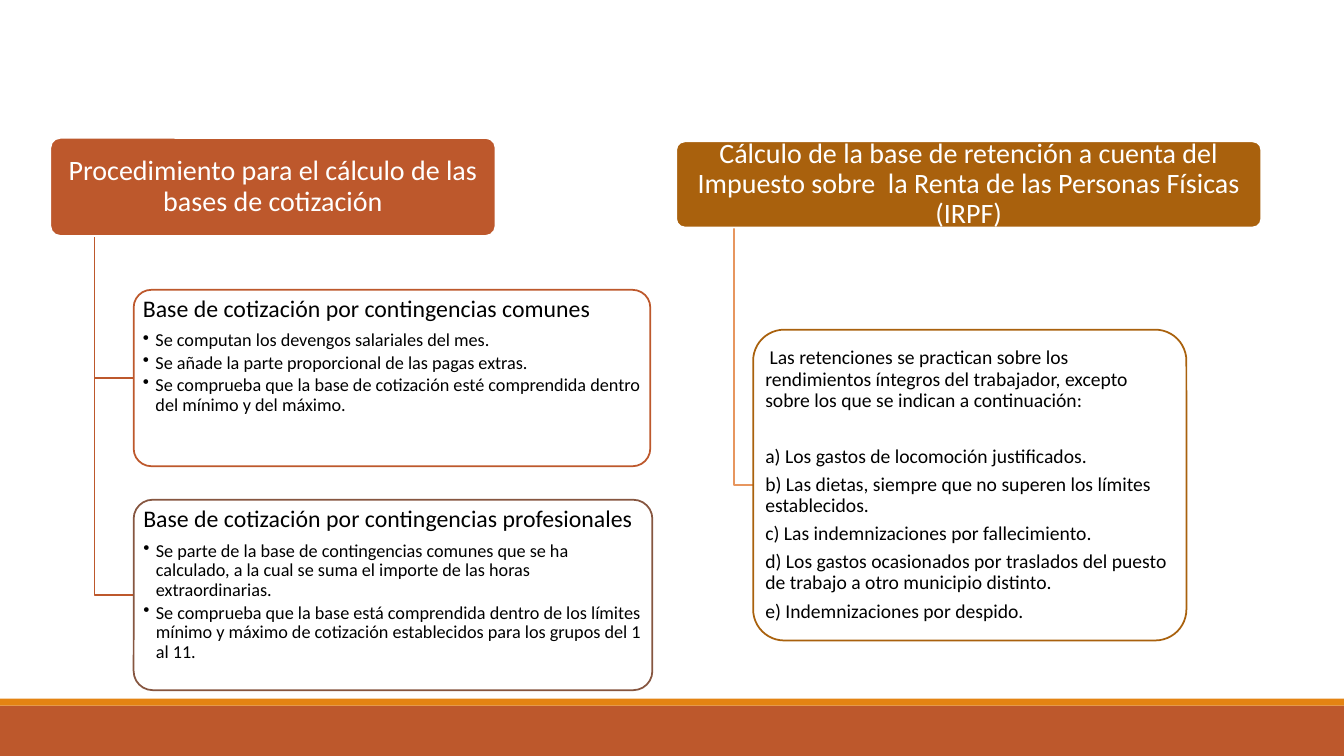
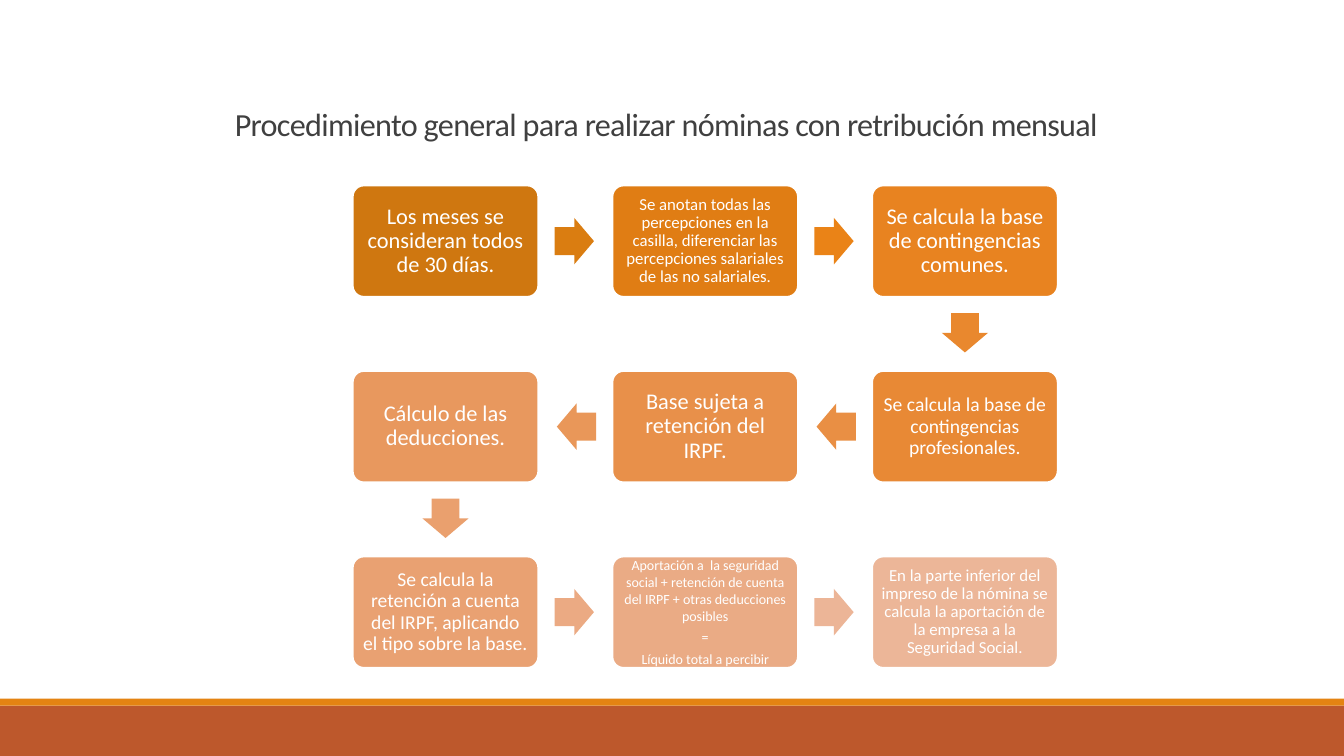
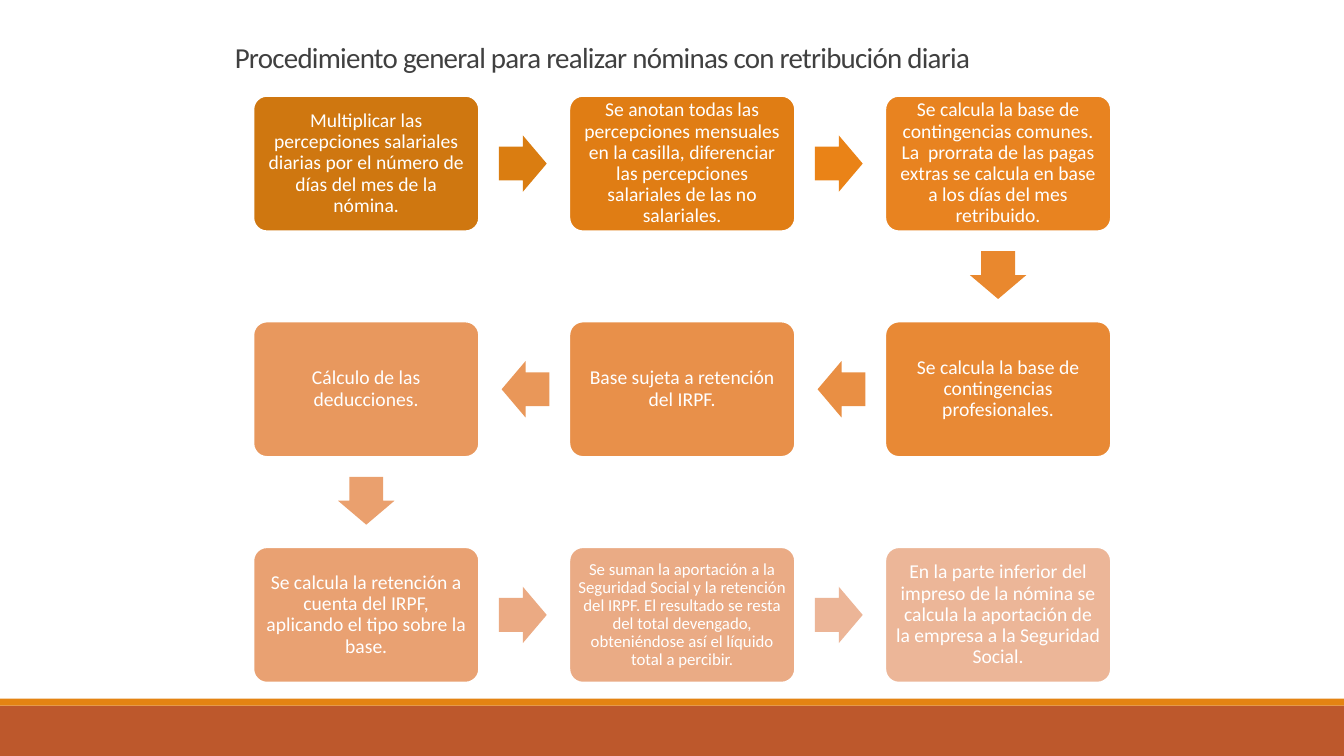
from dataclasses import dataclass
from typing import Any, NamedTuple

from lxml import etree
from pptx import Presentation
from pptx.dml.color import RGBColor
from pptx.enum.shapes import MSO_SHAPE
from pptx.enum.text import MSO_ANCHOR, MSO_AUTO_SIZE, PP_ALIGN
from pptx.oxml.ns import qn
from pptx.util import Pt

RECT, ROUND, ARROW = MSO_SHAPE.RECTANGLE, MSO_SHAPE.ROUNDED_RECTANGLE, MSO_SHAPE.RIGHT_ARROW
TOP, MIDDLE, BOTTOM = MSO_ANCHOR.TOP, MSO_ANCHOR.MIDDLE, MSO_ANCHOR.BOTTOM
LEFT, CENTER = PP_ALIGN.LEFT, PP_ALIGN.CENTER
NO_FIT = MSO_AUTO_SIZE.NONE

WIDE, HIGH = 960, 540
FONT = "Calibri"
WHITE, BLACK, GRAY = "FFFFFF", "000000", "404040"
RUST, ORANGE, BROWN, OCHRE, PEACH = "BD582C", "E48312", "865640", "A9610D", "E7965F"
EDGE = 1.25
COLS = 3
STEP_FILLS = ["CF7710", "E07D14", "E88320", "E88935", "E8904A",
              "E8985E", "E9A172", "EAAB85", "ECB698"]
ARROW_FILLS = ["DA7D11", "EA8317", "E9882E", "E98F44",
               "E99759", "EAA06E", "EBAA83", "ECB597"]


class Area(NamedTuple):
    left: float
    top: float
    width: float
    height: float


@dataclass
class Para:
    text: str
    size: float
    color: str = WHITE
    align: Any = CENTER
    lines: float = 0.9
    after: float | None = None
    indent: float = 0
    bullet: bool = False


@dataclass
class Box:
    area: Area
    fill: str
    edge: str
    paras: list[Para]
    pad: tuple[float, float]
    anchor: Any = MIDDLE


@dataclass
class Elbow:
    left: float
    top: float
    right: float
    bottom: float
    color: str


@dataclass
class Step:
    text: str
    size: float
    lines: float = 0.9


@dataclass
class Flow:
    title: str
    size: float
    base: float
    left: float
    top: float
    width: float
    steps: list[Step]


def put(item: Any, values: dict[str, Any]) -> None:
    for name, value in values.items():
        setattr(item, name, value)


def paint(form: Any, color: str) -> None:
    form.solid()
    form.fore_color.rgb = RGBColor.from_string(color)


def draw(slide: Any, kind: Any, area: Area, fill: str, edge: str | None = None) -> Any:
    shape = slide.shapes.add_shape(kind, *map(Pt, area))
    shape.shadow.inherit = False
    paint(shape.fill, fill)
    if edge:
        paint(shape.line.fill, edge)
        shape.line.width = Pt(EDGE)
    else:
        shape.line.fill.background()
    return shape


def write(frame: Any, paras: list[Para]) -> None:
    for i, item in enumerate(paras):
        para = frame.add_paragraph() if i else frame.paragraphs[0]
        props = para._p.get_or_add_pPr()
        if item.bullet:
            props.set("marL", str(Pt(9)))
            props.set("indent", str(Pt(-9)))
            etree.SubElement(props, qn("a:buChar")).set("char", "•")
        elif item.indent:
            props.set("indent", str(Pt(item.indent)))
        share = 0.15 if item.bullet else 0.35
        after = share * item.size if item.after is None else item.after
        put(para, {"alignment": item.align, "line_spacing": item.lines,
                   "space_after": Pt(after)})
        run = para.add_run()
        run.text = item.text
        put(run.font, {"name": FONT, "size": Pt(item.size)})
        paint(run.font.fill, item.color)


def add_box(slide: Any, box: Box) -> None:
    shape = draw(slide, ROUND, box.area, box.fill, box.edge)
    shape.adjustments[0] = 0.1
    side, head = map(Pt, box.pad)
    put(shape.text_frame, {"word_wrap": True, "vertical_anchor": box.anchor,
                           "margin_left": side, "margin_right": side,
                           "margin_top": head, "margin_bottom": head})
    write(shape.text_frame, box.paras)


def add_elbow(slide: Any, elbow: Elbow) -> None:
    left, top, right, bottom = map(Pt, (elbow.left, elbow.top, elbow.right, elbow.bottom))
    form = slide.shapes.build_freeform(left, top)
    form.add_line_segments([(left, bottom), (right, bottom)], close=False)
    shape = form.convert_to_shape()
    shape.shadow.inherit = False
    shape.fill.background()
    paint(shape.line.fill, elbow.color)
    shape.line.width = Pt(EDGE)


def add_bands(prs: Any, slide: Any) -> None:
    tree = prs.slide_master.shapes._spTree
    for area, fill in ((Area(0, 504, WIDE, 36), RUST), (Area(0, 499, WIDE, 5), ORANGE)):
        tree.append(draw(slide, RECT, area, fill)._element)


def add_title(slide: Any, text: str, size: float, base: float) -> None:
    title = slide.shapes.title
    put(title, {"left": Pt(160.5), "top": Pt(28), "width": Pt(687.5),
                "height": Pt(base - 28)})
    put(title.text_frame, {"word_wrap": True, "auto_size": NO_FIT,
                           "vertical_anchor": BOTTOM})
    write(title.text_frame, [Para(text, size, GRAY, LEFT, 0.85, 0)])
    title.text_frame.paragraphs[0].runs[0].font._element.set("spc", "-50")


def add_flow(slide: Any, flow: Flow) -> None:
    add_title(slide, flow.title, flow.size, flow.base)
    width, height = flow.width, 0.6 * flow.width
    long, broad = 0.212 * width, 0.25 * width
    reach = 0.088 * width + long / 2
    cells = []
    for i in range(len(flow.steps)):
        row, col = divmod(i, COLS)
        cells.append((COLS - 1 - col if row % 2 else col, row))
    for i, (step, (col, row)) in enumerate(zip(flow.steps, cells)):
        area = Area(flow.left + col * 1.4 * width, flow.top + row * width, width, height)
        para = Para(step.text, step.size, lines=step.lines)
        pad = 0.3 * step.size
        add_box(slide, Box(area, STEP_FILLS[i], WHITE, [para] if "\n" not in step.text else [
            Para(part, step.size, lines=step.lines) for part in step.text.split("\n")],
            (pad, pad)))
        if i + 1 == len(cells):
            break
        right, down = cells[i + 1][0] - col, cells[i + 1][1] - row
        mid = area.left + width / 2 + right * (width / 2 + reach)
        level = area.top + height / 2 + down * (height / 2 + reach)
        arrow = draw(slide, ARROW, Area(mid - long / 2, level - broad / 2, long, broad),
                     ARROW_FILLS[i])
        arrow.adjustments[0], arrow.adjustments[1] = 0.6, 0.5
        arrow.rotation = 90 if down else 90 * (1 - right)


def head(area: Area, fill: str, text: str) -> Box:
    return Box(area, fill, WHITE, [Para(text, 20)], (2.9, 2.2))


def card(area: Area, edge: str, name: str, points: list[str]) -> Box:
    paras = [Para(name, 17, BLACK, LEFT)]
    paras += [Para(point, 13, BLACK, LEFT, bullet=True) for point in points]
    return Box(area, WHITE, edge, paras, (2.9, 1.5), TOP)


RULES = [
    Para("Las retenciones se practican sobre los rendimientos íntegros del trabajador, "
         "excepto sobre los que se indican a continuación:", 14, BLACK, LEFT,
         after=25, indent=3),
    *(Para(text, 14, BLACK, LEFT) for text in (
        "a) Los gastos de locomoción justificados.",
        "b) Las dietas, siempre que no superen los límites establecidos.",
        "c) Las indemnizaciones por fallecimiento.",
        "d) Los gastos ocasionados por traslados del puesto de trabajo a otro "
        "municipio distinto.",
        "e) Indemnizaciones por despido.")),
]

ELBOWS = [
    Elbow(67.5, 168.5, 95.5, 270, RUST),
    Elbow(67.5, 168.5, 95.5, 425, RUST),
    Elbow(524.5, 162.5, 538, 346.5, PEACH),
]

BOXES = [
    head(Area(36, 98.5, 318, 70), RUST,
         "Procedimiento para el cálculo de las bases de cotización"),
    card(Area(95.5, 207, 369, 126), RUST, "Base de cotización por contingencias comunes", [
        "Se computan los devengos salariales del mes.",
        "Se añade la parte proporcional de las pagas extras.",
        "Se comprueba que la base de cotización esté comprendida dentro del mínimo "
        "y del máximo."]),
    card(Area(95.5, 357, 370.5, 136), BROWN,
         "Base de cotización por contingencias profesionales", [
             "Se parte de la base de contingencias comunes que se ha calculado, a la cual "
             "se suma el importe de las horas extraordinarias.",
             "Se comprueba que la base está comprendida dentro de los límites mínimo y "
             "máximo de cotización establecidos para los grupos del 1 al 11."]),
    head(Area(483, 101, 418, 61.5), OCHRE,
         "Cálculo de la base de retención a cuenta del Impuesto sobre  la Renta de las "
         "Personas Físicas (IRPF)"),
    Box(Area(538, 235.5, 309.5, 222), WHITE, OCHRE, RULES, (2.2, 1.5)),
]

LOWER = ("En la parte inferior del impreso de la nómina se calcula la aportación de la "
         "empresa a la Seguridad Social.")
LABOR = "Se calcula la base de contingencias profesionales."
BASE = "Base sujeta a retención del IRPF."
CUTS = "Cálculo de las deducciones."
RATE = "Se calcula la retención a cuenta del IRPF, aplicando el tipo sobre la base."

FLOWS = [
    Flow("Procedimiento general para realizar nóminas con retribución mensual",
         23, 106, 252, 132.5, 132.5, [
             Step("Los meses se consideran todos de 30 días.", 16),
             Step("Se anotan todas las percepciones en la casilla, diferenciar las "
                  "percepciones salariales de las no salariales.", 12),
             Step("Se calcula la base de contingencias comunes.", 16),
             Step(LABOR, 14),
             Step(BASE, 16),
             Step(CUTS, 16),
             Step(RATE, 14),
             Step("Aportación a  la seguridad social + retención de cuenta del IRPF + "
                  "otras deducciones posibles\n=\nLíquido total a percibir", 10, 1),
             Step(LOWER, 12)]),
    Flow("Procedimiento general para realizar nóminas con retribución diaria",
         20.7, 57, 181, 68.5, 161.2, [
             Step("Multiplicar las percepciones salariales diarias por el número de días "
                  "del mes de la nómina.", 14),
             Step("Se anotan todas las percepciones mensuales en la casilla, diferenciar "
                  "las percepciones salariales de las no salariales.", 14),
             Step("Se calcula la base de contingencias comunes. La  prorrata de las pagas "
                  "extras se calcula en base a los días del mes retribuido.", 14),
             Step(LABOR, 14),
             Step(BASE, 14),
             Step(CUTS, 14),
             Step(RATE, 14),
             Step("Se suman la aportación a la Seguridad Social y la retención del IRPF. "
                  "El resultado se resta del total devengado, obteniéndose así el líquido "
                  "total a percibir.", 12),
             Step(LOWER, 14)]),
]


def main() -> None:
    prs = Presentation()
    put(prs, {"slide_width": Pt(WIDE), "slide_height": Pt(HIGH)})
    titled, blank = prs.slide_layouts[5], prs.slide_layouts[6]
    slide = prs.slides.add_slide(blank)
    add_bands(prs, slide)
    for elbow in ELBOWS:
        add_elbow(slide, elbow)
    for box in BOXES:
        add_box(slide, box)
    for flow in FLOWS:
        add_flow(prs.slides.add_slide(titled), flow)
    prs.save("out.pptx")


if __name__ == "__main__":
    main()
